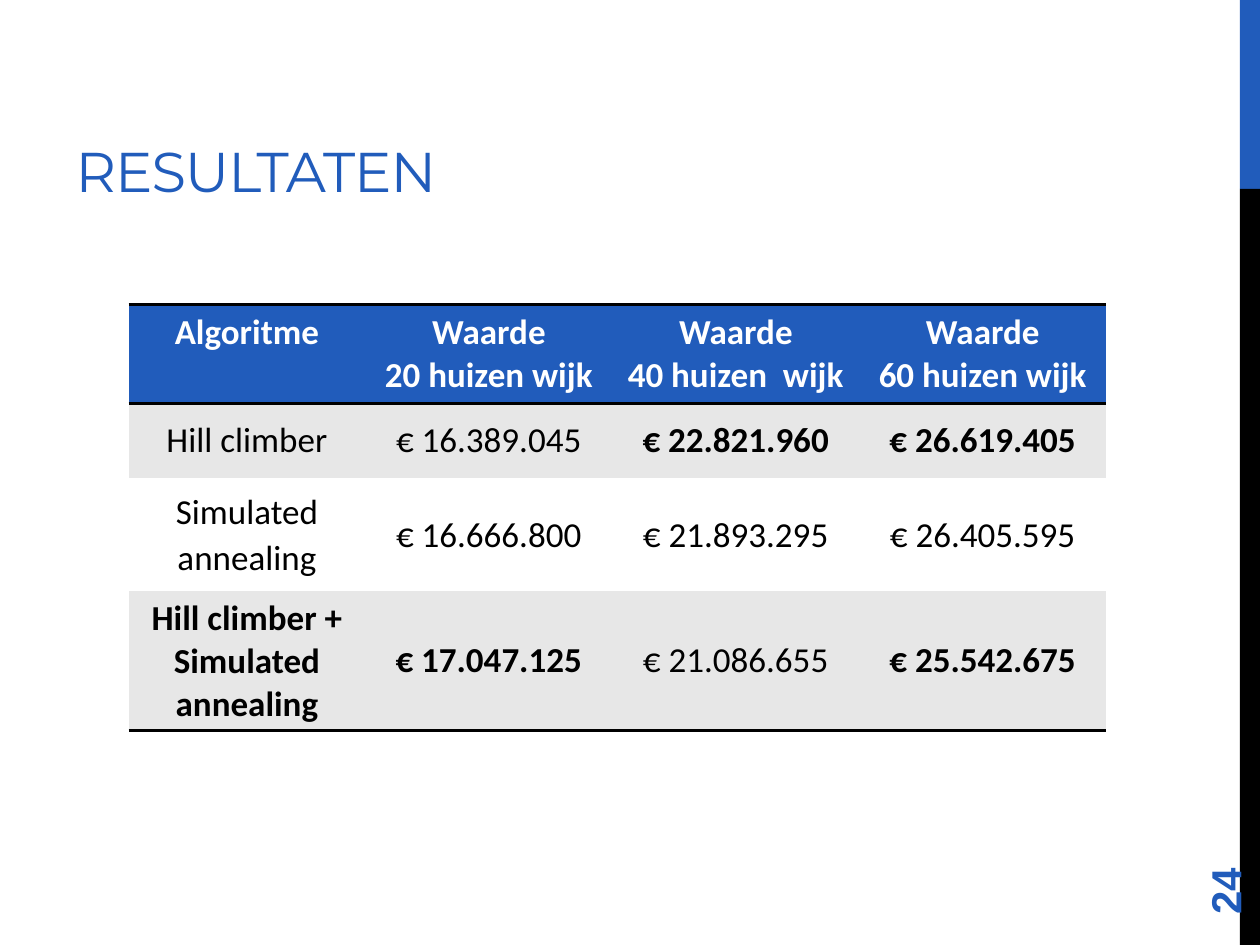
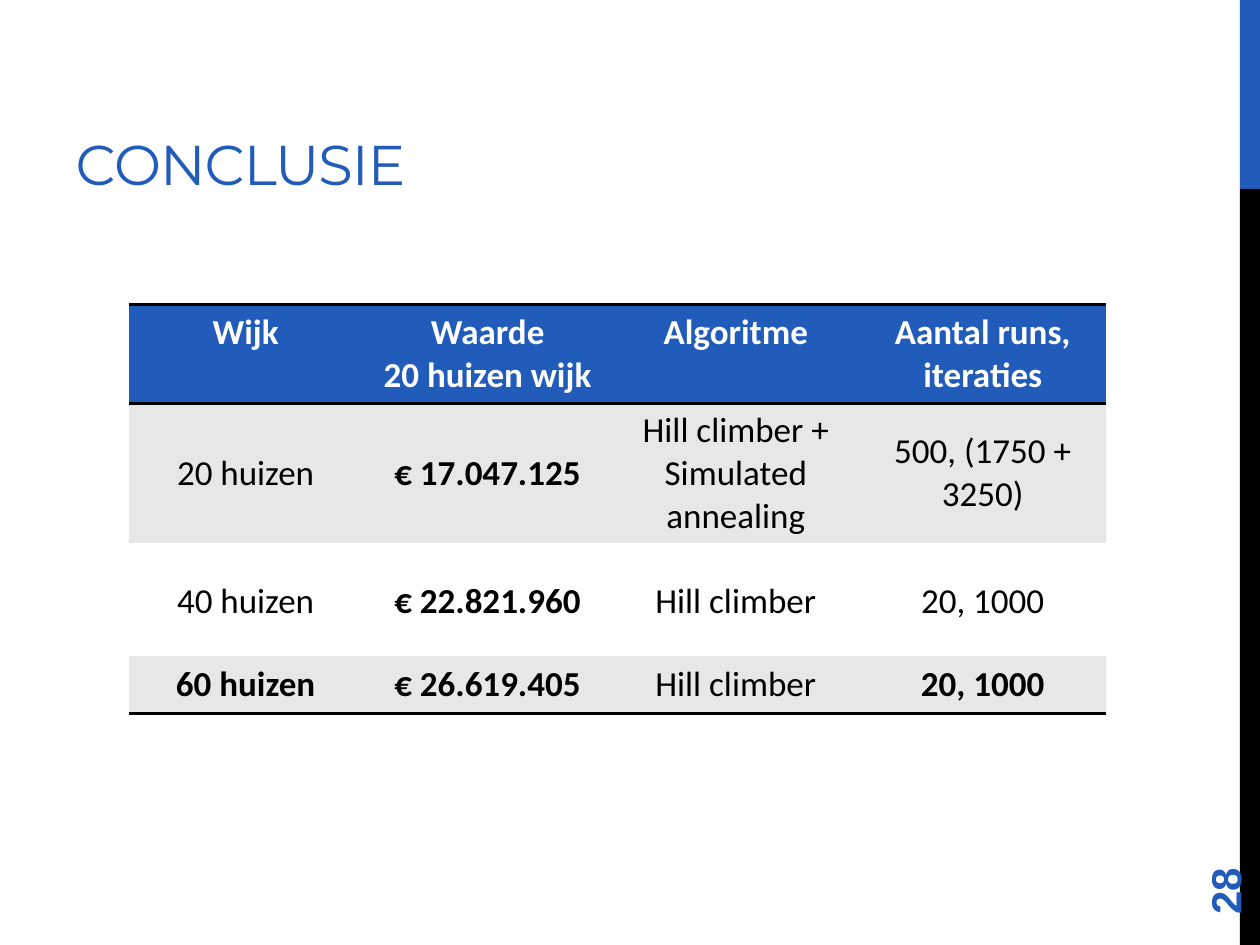
from lxml import etree
from pptx import Presentation
from pptx.dml.color import RGBColor
from pptx.enum.shapes import MSO_SHAPE
from pptx.enum.text import MSO_ANCHOR, MSO_AUTO_SIZE, PP_ALIGN
from pptx.oxml.ns import qn
from pptx.util import Inches, Pt

LEFT, CENTER = PP_ALIGN.LEFT, PP_ALIGN.CENTER
TOP, MIDDLE, BOTTOM = MSO_ANCHOR.TOP, MSO_ANCHOR.MIDDLE, MSO_ANCHOR.BOTTOM
RECTANGLE = MSO_SHAPE.RECTANGLE
NO_AUTOFIT = MSO_AUTO_SIZE.NONE
TITLE_ONLY = 5
PLAIN_TABLE_STYLE = "{2D5ABB26-0587-4C30-8999-92F81FD0307C}"

COLORS = {
    "accent": "215CBB",
    "black": "000000",
    "white": "FFFFFF",
    "stripe": "E7E7E7",
}


def color(name):
    return RGBColor.from_string(COLORS[name])


class Deck:
    """Holds the shared style and the slide being built."""

    def __init__(self):
        self.presentation = Presentation()
        self.presentation.slide_width = Inches(10)
        self.presentation.slide_height = Inches(7.5)
        self.page = None

    def add_page(self, title, title_width, title_height, number):
        layout = self.presentation.slide_layouts[TITLE_ONLY]
        self.page = self.presentation.slides.add_slide(layout)
        self.side_band(0, 1.5, "accent")
        self.side_band(1.5, 6, "black")
        self.title(title, title_width, title_height)
        self.page_number(number)

    def add_span(self, para, text, font, size, ink, bold=False):
        span = para.add_run()
        span.text = text
        span.font.name = font
        span.font.size = Pt(size)
        span.font.bold = bold
        span.font.color.rgb = color(ink)
        return span

    def side_band(self, top, height, fill):
        band = self.page.shapes.add_shape(
            RECTANGLE, Inches(9.84), Inches(top), Inches(0.16), Inches(height))
        band.shadow.inherit = False
        band.fill.solid()
        band.fill.fore_color.rgb = color(fill)
        band.line.fill.background()

    def title(self, text, width, height):
        box = self.page.shapes.title
        box.left, box.top = Inches(0.5), Inches(0.17)
        box.width, box.height = Inches(width), Inches(height)
        frame = box.text_frame
        frame.auto_size = NO_AUTOFIT
        frame.vertical_anchor = BOTTOM
        para = frame.paragraphs[0]
        para.alignment = LEFT
        span = self.add_span(para, text, "Montserrat", 32, "accent")
        span.font._element.set("spc", "-60")

    def page_number(self, number):
        box = self.page.shapes.add_textbox(
            Inches(9), Inches(6.44), Inches(1.44), Inches(0.4))
        box.rotation = 270
        frame = box.text_frame
        frame.word_wrap = True
        frame.vertical_anchor = MIDDLE
        self.add_span(frame.paragraphs[0], str(number), "Arial", 24, "accent", True)

    def table(self, rows, widths, heights, bold_cells):
        """Draw a striped table; bold_cells holds (row, column) pairs below the header."""
        frame = self.page.shapes.add_table(
            len(rows), len(widths), Inches(1.02), Inches(2.42),
            Inches(sum(widths)), Inches(sum(heights)))
        table = frame.table
        table.horz_banding = False
        table._tbl.tblPr.find(qn("a:tableStyleId")).text = PLAIN_TABLE_STYLE
        for column, width in zip(table.columns, widths):
            column.width = Inches(width)
        last = len(rows) - 1
        for r, (texts, height) in enumerate(zip(rows, heights)):
            table.rows[r].height = Inches(height)
            header = r == 0
            fill = "accent" if header else "stripe" if r % 2 else "white"
            for c, text in enumerate(texts):
                cell = table.cell(r, c)
                cell.fill.solid()
                cell.fill.fore_color.rgb = color(fill)
                cell.vertical_anchor = TOP if header else MIDDLE
                self.cell_text(cell, text, "white" if header else "black",
                               header or (r, c) in bold_cells,
                               1.07 if fill == "white" else 1)
                if r in (0, last):
                    self.cell_rule(cell, "a:lnB")
                if header:
                    self.cell_rule(cell, "a:lnT")

    def cell_text(self, cell, text, ink, bold, spacing):
        frame = cell.text_frame
        for index, line in enumerate(text.split("\n")):
            para = frame.add_paragraph() if index else frame.paragraphs[0]
            para.alignment = CENTER
            para.line_spacing = spacing
            self.add_span(para, line, "Calibri", 20, ink, bold)

    def cell_rule(self, cell, edge):
        """Put a 2 pt black rule on one edge; add the bottom before the top."""
        rule = etree.Element(qn(edge), w=str(Pt(2)))
        fill = etree.SubElement(rule, qn("a:solidFill"))
        etree.SubElement(fill, qn("a:srgbClr"), val=COLORS["black"])
        cell._tc.get_or_add_tcPr().insert(0, rule)


def main():
    deck = Deck()

    deck.add_page("RESULTATEN", 6.33, 1.5, 24)
    deck.table(
        [
            ["Algoritme"] + [f"Waarde\n{houses} wijk"
                             for houses in ("20 huizen", "40 huizen ", "60 huizen")],
            ["Hill climber", "€ 16.389.045", "€ 22.821.960", "€ 26.619.405"],
            ["Simulated annealing", "€ 16.666.800", "€ 21.893.295", "€ 26.405.595"],
            ["Hill climber + Simulated annealing",
             "€ 17.047.125", "€ 21.086.655", "€ 25.542.675"],
        ],
        widths=[1.88, 1.96, 1.96, 1.96],
        heights=[0.78, 0.59, 0.9, 1.11],
        bold_cells={(1, 2), (1, 3), (3, 0), (3, 1), (3, 3)},
    )

    deck.add_page("CONCLUSIE", 8.42, 1.44, 28)
    deck.table(
        [
            ["Wijk", "Waarde\n20 huizen wijk", "Algoritme", "Aantal runs, iteraties"],
            ["20 huizen", "€ 17.047.125",
             "Hill climber + Simulated annealing", "500, (1750 + 3250)"],
            ["40 huizen", "€ 22.821.960", "Hill climber", "20, 1000"],
            ["60 huizen", "€ 26.619.405", "Hill climber", "20, 1000"],
        ],
        widths=[1.86, 1.98, 1.96, 1.96],
        heights=[0.78, 1.11, 0.9, 0.45],
        bold_cells={(1, 1), (2, 1), (3, 0), (3, 1), (3, 3)},
    )

    deck.presentation.save("out.pptx")


if __name__ == "__main__":
    main()
